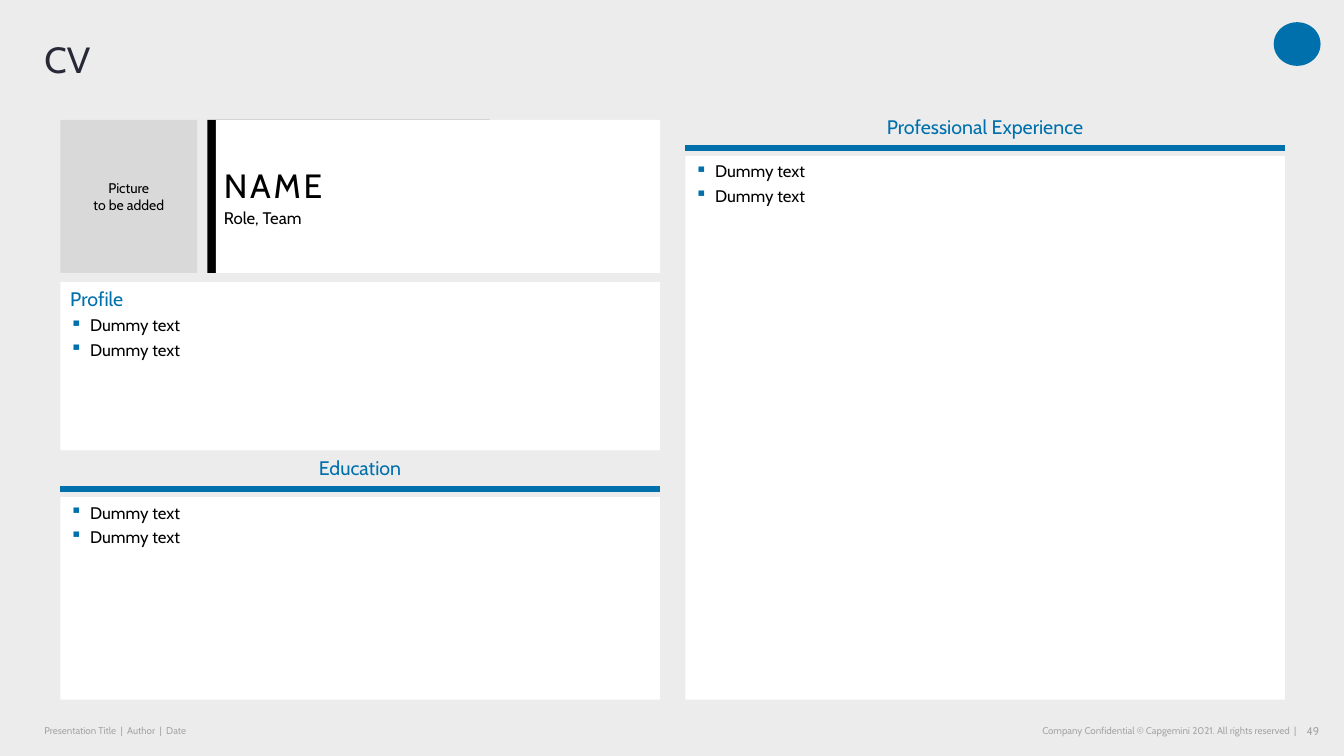
from lxml import etree
from pptx import Presentation
from pptx.dml.color import RGBColor
from pptx.enum.shapes import MSO_CONNECTOR as LINE, MSO_SHAPE as SHAPE
from pptx.enum.text import MSO_ANCHOR as ANCHOR, PP_ALIGN as ALIGN
from pptx.oxml.ns import qn
from pptx.util import Cm, Pt

BACKGROUND = RGBColor(0xEC, 0xEC, 0xEC)
BLUE = RGBColor(0x00, 0x70, 0xAD)
NAVY = RGBColor(0x27, 0x29, 0x36)
GREY = RGBColor(0xD9, 0xD9, 0xD9)
FOOTER_GREY = RGBColor(0xA6, 0xA6, 0xA6)
BLACK = RGBColor(0, 0, 0)
WHITE = RGBColor(0xFF, 0xFF, 0xFF)

LEFT, RIGHT = 1.52, 17.27  # column edges
COLUMN_W = 15.11
BOTTOM = 17.63
CARD_TOP, CARD_H = 3.02, 3.86

prs = Presentation()
prs.slide_width, prs.slide_height = Cm(33.87), Cm(19.05)
s = prs.slides.add_slide(prs.slide_layouts[6])
s.background.fill.solid()
s.background.fill.fore_color.rgb = BACKGROUND


def add_box(x, y, w, h, fill=None, anchor=ANCHOR.TOP, insets=(0.25, 0.13, 0.25, 0.13)):
    """Add a filled rectangle, or a text box when there is no fill."""
    place = Cm(x), Cm(y), Cm(w), Cm(h)
    if fill is None:
        sp = s.shapes.add_textbox(*place)
    else:
        sp = s.shapes.add_shape(SHAPE.RECTANGLE, *place)
        sp.shadow.inherit = False
        sp.fill.solid()
        sp.fill.fore_color.rgb = fill
        sp.line.fill.background()
    tf = sp.text_frame
    tf.word_wrap = True
    tf.vertical_anchor = anchor
    tf.margin_left, tf.margin_top, tf.margin_right, tf.margin_bottom = map(Cm, insets)
    return tf


def add_text(tf, text, size, color=BLACK, align=ALIGN.LEFT, after=0, bullet=False):
    """Write a paragraph, using the first one while it is still empty."""
    p = tf.paragraphs[0] if not tf.text else tf.add_paragraph()
    p.alignment = align
    p.space_after = Pt(after)
    if bullet:
        pPr = p._p.get_or_add_pPr()
        pPr.set("marL", str(Cm(0.5)))
        pPr.set("indent", str(-Cm(0.5)))
        bu_clr = etree.SubElement(pPr, qn("a:buClr"))
        etree.SubElement(bu_clr, qn("a:srgbClr"), val=str(BLUE))
        etree.SubElement(pPr, qn("a:buChar"), char="▪")
    for i, line in enumerate(text.split("\n")):
        if i:
            p.add_line_break()
        r = p.add_run()
        r.text = line
        r.font.name = "Cabin"
        r.font.size = Pt(size)
        r.font.color.rgb = color
    return p


# Emblem
emblem = s.shapes.add_shape(SHAPE.OVAL, Cm(32.1), Cm(0.56), Cm(1.18), Cm(1.1))
emblem.shadow.inherit = False
emblem.fill.solid()
emblem.fill.fore_color.rgb = BLUE
emblem.line.fill.background()

# Footer
for x, w, text, size, align in (
    (1.12, 9.47, "Presentation Title  |  Author  |  Date", 7, ALIGN.LEFT),
    (20.07, 12.6, "Company Confidential © Capgemini 2021. All rights reserved  |", 7, ALIGN.RIGHT),
    (32.61, 0.64, "49", 8, ALIGN.RIGHT),
):
    tf = add_box(x, 18.11, w, 0.61, anchor=ANCHOR.MIDDLE, insets=(0, 0, 0, 0))
    add_text(tf, text, size, FOOTER_GREY, align)

# Title
tf = add_box(1.12, 1.07, 30.4, 1.98, insets=(0, 0, 0, 0))
add_text(tf, "CV", 26, NAVY).line_spacing = 0.9

# Photo space and name card
tf = add_box(LEFT, CARD_TOP, 3.45, CARD_H, GREY, ANCHOR.MIDDLE)
add_text(tf, "Picture\nto be added", 10, align=ALIGN.CENTER)
add_box(5.23, CARD_TOP, 7.11, CARD_H, BLACK)
tf = add_box(5.44, CARD_TOP, 11.2, CARD_H, WHITE, ANCHOR.MIDDLE, (0.2, 0.1, 0, 0.1))
name = add_text(tf, "NAME", 24, after=2)
name.runs[0].font._element.set("spc", "200")
add_text(tf, "Role, Team", 12, after=2)

# Profile
profile = add_box(LEFT, 7.11, COLUMN_W, 4.24, WHITE)
add_text(profile, "Profile", 14, BLUE, after=3)
panels = [profile]

# Sections: heading, rule and panel
for x, y, heading in ((LEFT, 11.4, "Education"), (RIGHT, 2.8, "Professional Experience")):
    tf = add_box(x, y, COLUMN_W, 0.91, insets=(0.1, 0.1, 0.1, 0.1))
    add_text(tf, heading, 14, BLUE, ALIGN.CENTER)
    panel_y = y + 1.13
    panels.append(add_box(x, panel_y, COLUMN_W, BOTTOM - panel_y, WHITE))
    rule_y = Cm(y + 0.93)
    rule = s.shapes.add_connector(LINE.STRAIGHT, Cm(x), rule_y, Cm(x + COLUMN_W), rule_y)
    rule.line.color.rgb = BLUE
    rule.line.width = Pt(4.5)
    etree.SubElement(rule._element.spPr, qn("a:effectLst"))

# Bullets in every panel
for tf in panels:
    for _ in range(2):
        add_text(tf, "Dummy text", 12, after=3, bullet=True)

prs.save("out.pptx")
